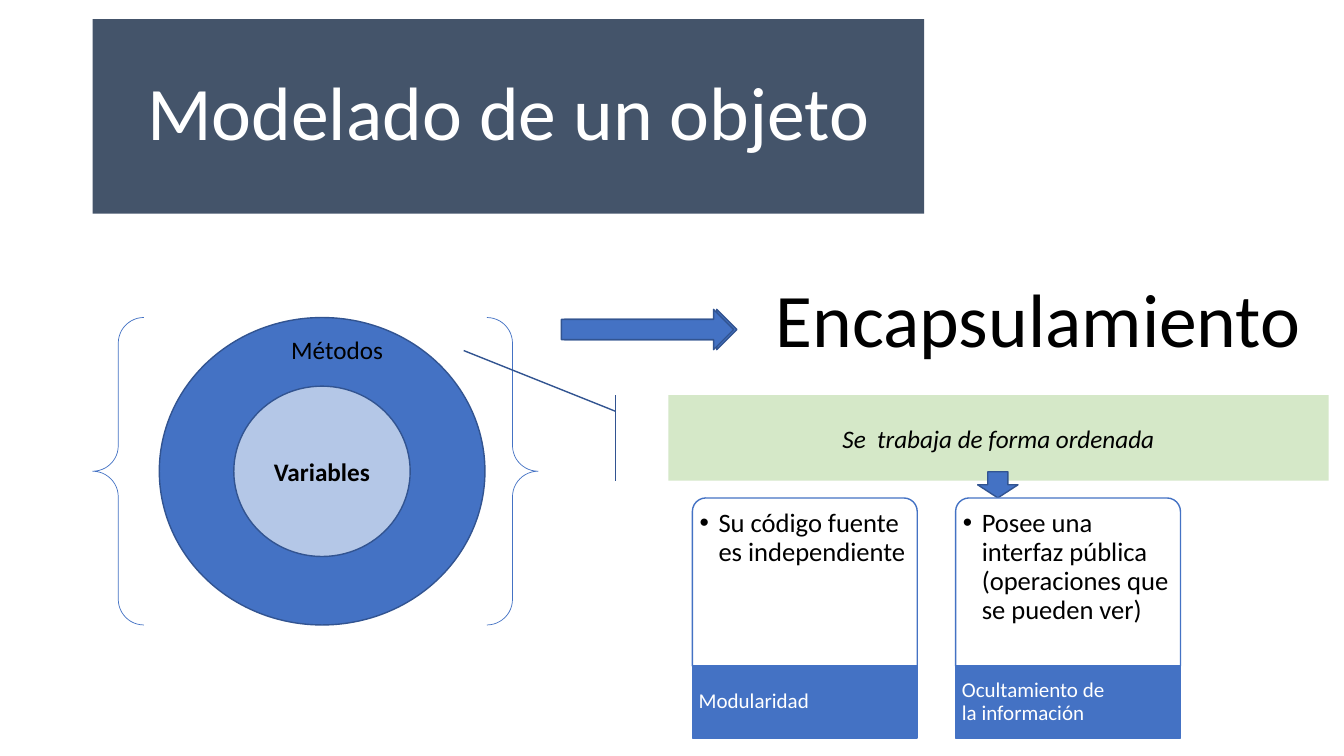
"""Build the slide on modelling an object and its encapsulation."""
from dataclasses import dataclass

from lxml import etree
from pptx import Presentation
from pptx.dml.color import RGBColor
from pptx.enum.shapes import MSO_SHAPE
from pptx.enum.text import MSO_ANCHOR, PP_ALIGN
from pptx.oxml.ns import qn
from pptx.util import Pt

OVAL, RECT, ARROW = MSO_SHAPE.OVAL, MSO_SHAPE.RECTANGLE, MSO_SHAPE.RIGHT_ARROW
BRACES, CALLOUT = MSO_SHAPE.DOUBLE_BRACE, MSO_SHAPE.LINE_CALLOUT_1_ACCENT_BAR
TAB = MSO_SHAPE.ROUND_2_SAME_RECTANGLE
TOP, MIDDLE = MSO_ANCHOR.TOP, MSO_ANCHOR.MIDDLE
LEFT, CENTER = PP_ALIGN.LEFT, PP_ALIGN.CENTER


@dataclass(frozen=True)
class Theme:
    """Colours, font and type sizes of the slide."""
    font: str = "Calibri"
    blue: str = "4472C4"
    edge: str = "325491"
    pale: str = "B4C7E7"
    slate: str = "44546A"
    green: str = "C5E0B4"
    white: str = "FFFFFF"
    black: str = "000000"
    title: int = 54
    point: int = 19
    body: int = 18
    label: int = 15


theme = Theme()
deck = Presentation()
deck.slide_width, deck.slide_height = Pt(960), Pt(540)
slide = deck.slides.add_slide(deck.slide_layouts[6])


def draw(kind, box, fill=None, line=None, width=1, alpha=100):
    shape = slide.shapes.add_shape(kind, *map(Pt, box))
    shape.shadow.inherit = False
    if fill:
        shape.fill.solid()
        shape.fill.fore_color.rgb = RGBColor.from_string(fill)
        if alpha < 100:
            color = shape.fill._xPr.find(qn("a:solidFill"))[0]
            etree.SubElement(color, qn("a:alpha"), val=str(alpha * 1000))
    else:
        shape.fill.background()
    if line:
        shape.line.color.rgb = RGBColor.from_string(line)
        shape.line.width = Pt(width)
    else:
        shape.line.fill.background()
    return shape


def write(shape, text, size, color=theme.black, align=CENTER, anchor=MIDDLE,
          inset=(7.2, 3.6, 7.2, 3.6), wrap=True, space=1.0):
    frame = shape.text_frame
    frame.word_wrap, frame.vertical_anchor = wrap, anchor
    frame.margin_left, frame.margin_top, frame.margin_right, frame.margin_bottom = map(Pt, inset)
    para = frame.paragraphs[0]
    para.text, para.alignment, para.line_spacing = text, align, space
    para.font.name, para.font.size = theme.font, Pt(size)
    para.font.color.rgb = RGBColor.from_string(color)
    return para


draw(OVAL, (113.8, 226.8, 232.6, 219.6), theme.blue, theme.edge)
core = draw(OVAL, (167, 275.8, 126, 121.7), theme.pale, theme.edge)
write(core, "Variables", theme.body).font.bold = True

ring = slide.shapes.add_textbox(Pt(200.9), Pt(235.4), Pt(80.6), Pt(28.8))
write(ring, "Métodos", theme.body, align=LEFT, anchor=TOP, wrap=False)

title = draw(RECT, (66.2, 13.7, 594, 139), theme.slate)
write(title, "Modelado de un objeto", theme.title, theme.white, space=0.9)

draw(BRACES, (66.2, 226.8, 318.2, 219.6), line=theme.blue, width=0.5)
draw(ARROW, (403.2, 221, 123.1, 28.8), theme.blue, theme.edge)

topic = slide.shapes.add_textbox(Pt(545), Pt(190.8), Pt(393.1), Pt(72.7))
write(topic, "Encapsulamiento", theme.title, anchor=TOP, wrap=False)

note = draw(CALLOUT, (477.4, 282.2, 471.6, 61.2), theme.green, theme.edge, alpha=72)
for index, value in enumerate((0.19, -0.08, -0.52, -0.31)):
    note.adjustments[index] = value
write(note, "Se  trabaja de forma ordenada", theme.body).font.italic = True

draw(ARROW, (401, 221, 123.1, 28.8), theme.blue, theme.edge)
down = draw(ARROW, (703.4, 331.9, 18.7, 28.8), theme.blue, theme.edge)
down.rotation = 90

cards = (
    ("Modularidad", "Su código fuente es independiente"),
    ("Ocultamiento de la información",
     "Posee una interfaz pública (operaciones que se pueden ver)"),
)
for index, (name, detail) in enumerate(cards):
    left = 494.6 + 188 * index
    card = draw(TAB, (left, 355.7, 160.6, 120), theme.white, theme.blue, alpha=90)
    card.adjustments[0] = 0.08
    body = slide.shapes.add_textbox(Pt(left + 2.8), Pt(358.5), Pt(155), Pt(117.2))
    para = write(body, detail, theme.point, align=LEFT, anchor=TOP,
                 inset=(2.4, 5.7, 2.4, 2.4), space=0.9)
    props = para._p.get_or_add_pPr()
    props.set("marL", str(Pt(13.5)))
    props.set("indent", str(Pt(-13.5)))
    etree.SubElement(props, qn("a:buFont"), typeface="Arial")
    etree.SubElement(props, qn("a:buChar"), char="•")
    props.append(props.find(qn("a:defRPr")))

    draw(RECT, (left, 475.5, 160.6, 51.7), theme.blue, theme.blue)
    label = slide.shapes.add_textbox(Pt(left), Pt(475.5), Pt(113), Pt(51.7))
    write(label, name, theme.label, theme.white, LEFT,
          inset=(4.5, 0, 1.5, 0), space=0.9)

deck.save("out.pptx")
